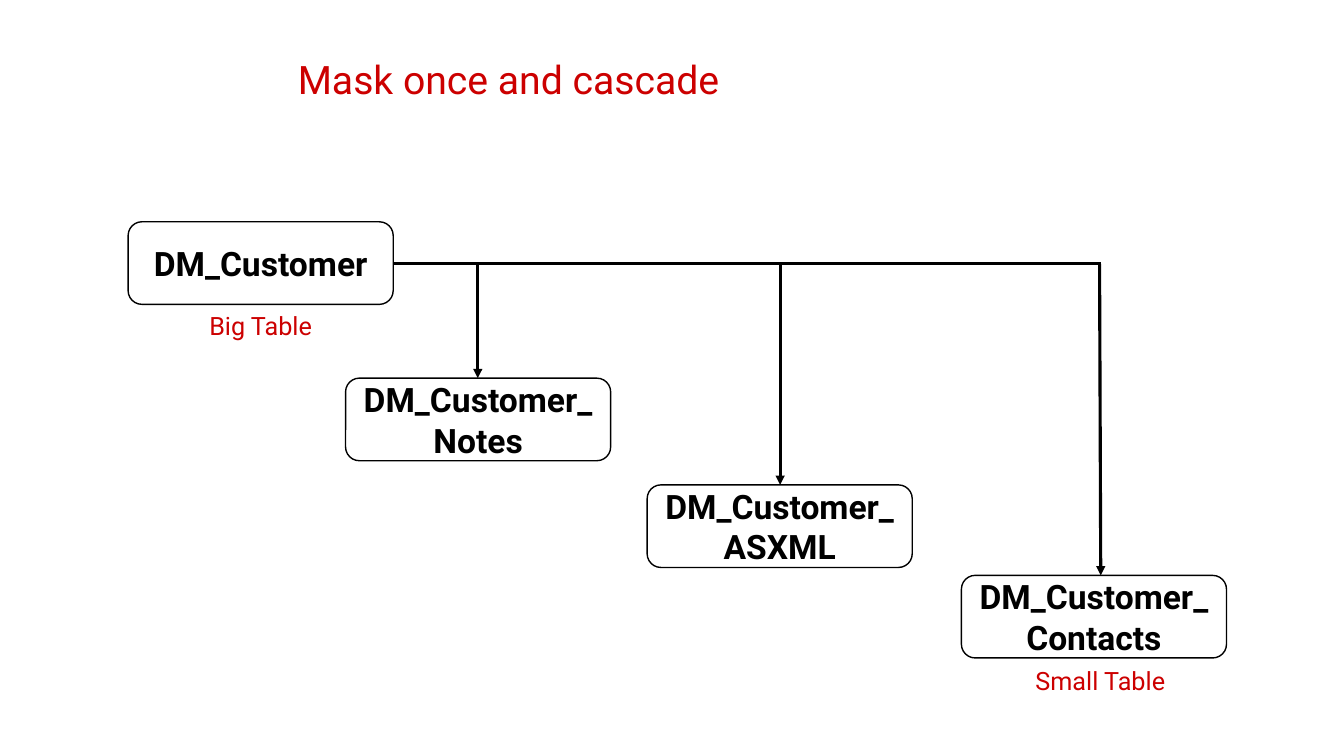
import pptx
import pptx.util
import pptx.dml.color
import pptx.enum.shapes
import pptx.enum.text
import pptx.oxml
import pptx.oxml.ns
from pptx.util import Cm

COLORS = {"ink": "000000", "accent": "CC0000"}
BOX_W, BOX_H = 6.68, 2.08
BUS_Y = 6.65


class Deck:
    """Holds the text style and the current slide, and adds elements to it."""

    def __init__(self, font):
        self.font = font
        self.prs = pptx.Presentation()
        self.prs.slide_width, self.prs.slide_height = Cm(33.87), Cm(19.05)
        self.s = self.prs.slides.add_slide(self.prs.slide_layouts[5])

    def color(self, name):
        return pptx.dml.color.RGBColor.from_string(COLORS[name])

    def set_text(self, sp, text, size, color, bold=False, anchor="MIDDLE"):
        tf = sp.text_frame
        tf.word_wrap = True
        tf.vertical_anchor = pptx.enum.text.MSO_ANCHOR[anchor]
        p = tf.paragraphs[0]
        p.text = text
        p.alignment = pptx.enum.text.PP_ALIGN.CENTER
        p.font.name = self.font
        p.font.size = pptx.util.Pt(size)
        p.font.bold = bold
        p.font.color.rgb = self.color(color)
        return p

    def title(self, text, x, y, w, h):
        sp = self.s.shapes.title
        sp.left, sp.top, sp.width, sp.height = Cm(x), Cm(y), Cm(w), Cm(h)
        sp.text_frame.auto_size = pptx.enum.text.MSO_AUTO_SIZE.NONE
        p = self.set_text(sp, text, 28, "accent")
        p.line_spacing = 0.9
        p.space_before = pptx.util.Pt(0)

    def box(self, text, x, y):
        sp = self.s.shapes.add_shape(
            pptx.enum.shapes.MSO_SHAPE.ROUNDED_RECTANGLE, Cm(x), Cm(y), Cm(BOX_W), Cm(BOX_H))
        sp.shadow.inherit = False
        sp.fill.background()
        sp.line.color.rgb = self.color("ink")
        sp.line.width = pptx.util.Pt(1)
        self.set_text(sp, text, 24, "ink", bold=True)

    def label(self, text, x, y):
        sp = self.s.shapes.add_textbox(Cm(x), Cm(y), Cm(3.94), Cm(1.02))
        self.set_text(sp, text, 18, "accent", anchor="TOP")
        sp.text_frame.auto_size = pptx.enum.text.MSO_AUTO_SIZE.SHAPE_TO_FIT_TEXT

    def line(self, x1, y1, x2, y2, arrow=False):
        c = self.s.shapes.add_connector(
            pptx.enum.shapes.MSO_CONNECTOR.STRAIGHT, Cm(x1), Cm(y1), Cm(x2), Cm(y2))
        c.line.color.rgb = self.color("ink")
        c.line.width = pptx.util.Pt(2.25)
        ns = pptx.oxml.ns.nsdecls("a")
        spPr = c._element.spPr
        if arrow:
            spPr.find(pptx.oxml.ns.qn("a:ln")).append(
                pptx.oxml.parse_xml(f'<a:tailEnd {ns} type="triangle"/>'))
        spPr.append(pptx.oxml.parse_xml(f"<a:effectLst {ns}/>"))


def main():
    deck = Deck("Roboto")
    deck.title("Mask once and cascade", 6.3, 0.97, 13.03, 2.16)

    deck.box("DM_Customer", 3.23, 5.59)
    deck.line(3.23 + BOX_W, BUS_Y, 27.74, BUS_Y)
    children = [
        ("Notes", 8.71, 9.53, 12.04, 12.04),
        ("ASXML", 16.31, 12.22, 19.66, 19.66),
        ("Contacts", 24.23, 14.5, 27.71, 27.74),
    ]
    for name, x, y, start, end in children:
        deck.box(f"DM_Customer_{name}", x, y)
        deck.line(start, BUS_Y, end, y, arrow=True)

    deck.label("Big Table", 4.6, 7.7)
    deck.label("Small Table", 25.76, 16.64)
    deck.prs.save("out.pptx")


if __name__ == "__main__":
    main()
